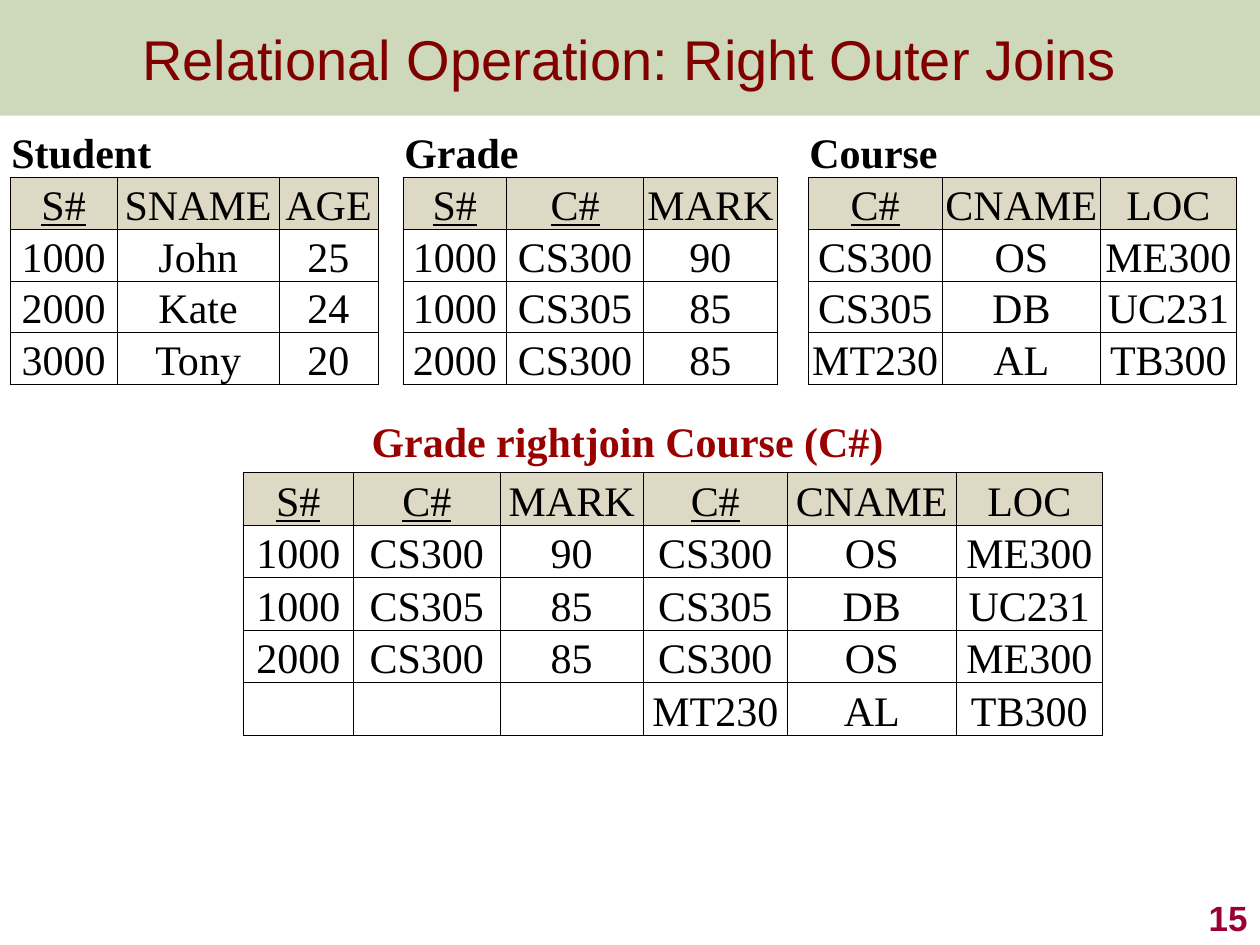
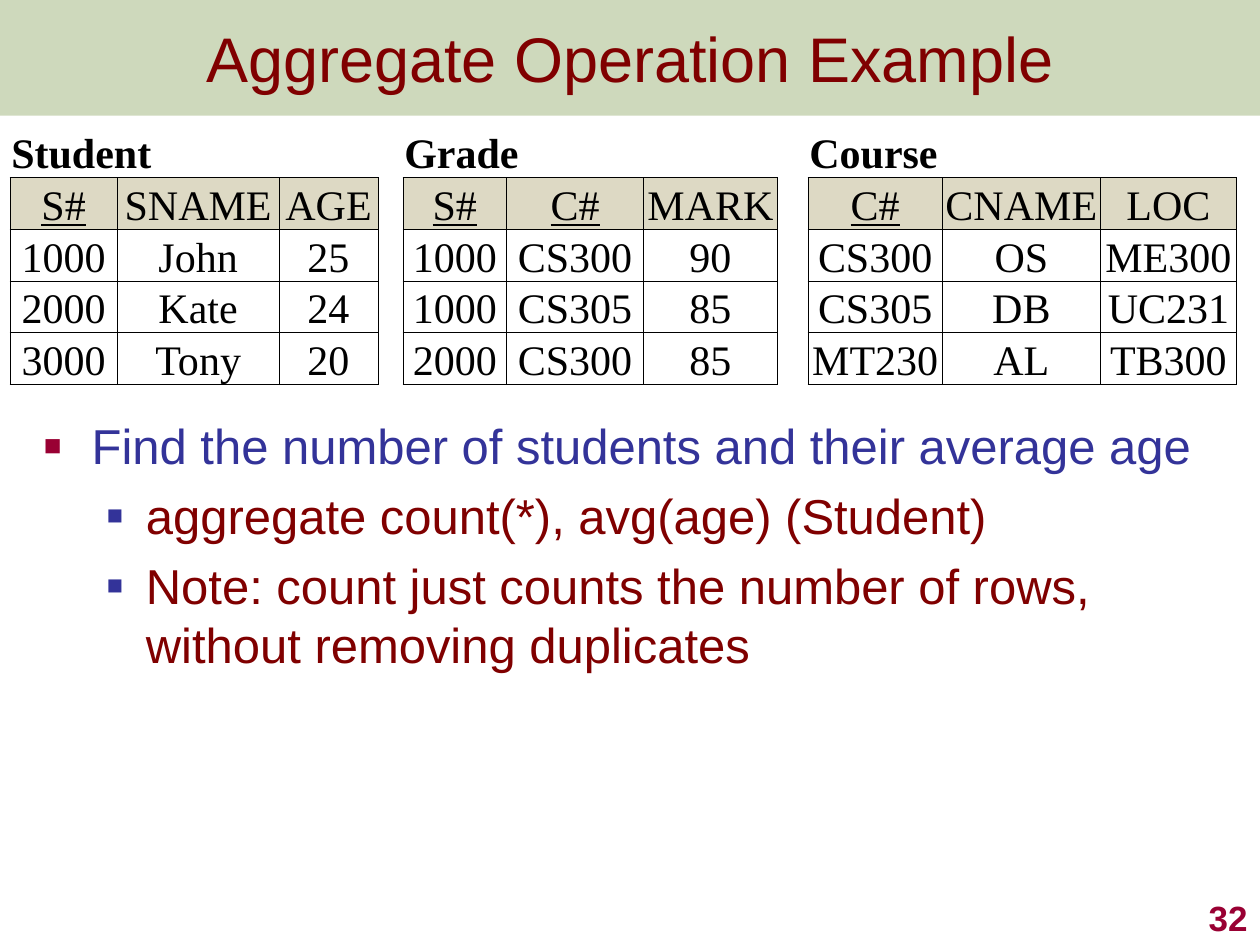
from lxml import etree
from pptx import Presentation
from pptx.dml.color import RGBColor
from pptx.enum.text import MSO_ANCHOR, PP_ALIGN
from pptx.oxml.ns import qn
from pptx.util import Inches, Pt

LEFT, CENTER, RIGHT = PP_ALIGN.LEFT, PP_ALIGN.CENTER, PP_ALIGN.RIGHT
TOP, MIDDLE, BOTTOM = MSO_ANCHOR.TOP, MSO_ANCHOR.MIDDLE, MSO_ANCHOR.BOTTOM

SANS, SERIF = "Arial", "Times New Roman"
BLACK, WHITE = "000000", "FFFFFF"
MAROON, CRIMSON, BLUE, RED = "800000", "990033", "333399", "990000"
BAND, HEADER = "5F8422", "DDD9C4"

COLUMNS, ROWS = 40, 30
UNIT = Inches(0.25)
KEYS = ("S#", "C#")
GAP = None

STUDENT = [
    ["S#", "SNAME", "AGE"],
    ["1000", "John", "25"],
    ["2000", "Kate", "24"],
    ["3000", "Tony", "20"],
]
GRADE = [
    ["S#", "C#", "MARK"],
    ["1000", "CS300", "90"],
    ["1000", "CS305", "85"],
    ["2000", "CS300", "85"],
]
COURSE = [
    ["C#", "CNAME", "LOC"],
    ["CS300", "OS", "ME300"],
    ["CS305", "DB", "UC231"],
    ["MT230", "AL", "TB300"],
]
RIGHT_JOIN = [
    GRADE[0] + COURSE[0],
    GRADE[1] + COURSE[1],
    GRADE[2] + COURSE[2],
    GRADE[3] + COURSE[1],
    ["", "", ""] + COURSE[3],
]


def rgb(color):
    return RGBColor.from_string(color)


def grid(*cells):
    """Turn grid columns or rows into lengths."""
    return [round(cell * UNIT) for cell in cells]


def add_xml(parent, tag, **attributes):
    return etree.SubElement(parent, qn(tag), attributes)


def write(paragraph, text, size=24, font=SERIF, color=BLACK, bold=False,
          underline=False, align=LEFT):
    paragraph.alignment = align
    run = paragraph.add_run()
    run.text = text
    run.font.size = Pt(size)
    run.font.name = font
    run.font.color.rgb = rgb(color)
    run.font.bold = bold
    run.font.underline = underline


def set_borders(cell, edges):
    """Draw a thin line on the named edges (out of L, R, T, B) and none elsewhere."""
    properties = cell._tc.get_or_add_tcPr()
    for edge in "LRTB":
        line = add_xml(properties, f"a:ln{edge}", w=str(Pt(0.5)))
        if edge in edges:
            add_xml(add_xml(line, "a:solidFill"), "a:srgbClr", val=BLACK)
        else:
            add_xml(line, "a:noFill")


class Deck:
    def __init__(self):
        self.file = Presentation()
        self.file.slide_width, self.file.slide_height = grid(COLUMNS, ROWS)
        self.slide = None

    def start_slide(self, title, number, title_size):
        self.slide = self.file.slides.add_slide(self.file.slide_layouts[5])
        band = self.slide.shapes.title
        band.left, band.top, band.width, band.height = grid(0, 0, COLUMNS, 3.67)
        band.fill.solid()
        band.fill.fore_color.rgb = rgb(BAND)
        tint = band._element.spPr.find(f".//{qn('a:srgbClr')}")
        add_xml(tint, "a:alpha", val="30000")
        band.text_frame.vertical_anchor = MIDDLE
        write(band.text_frame.paragraphs[0], title, size=title_size, font=SANS,
              color=MAROON, align=CENTER)
        self.text(31.68, 28, 8.32, 2, str(number), anchor=BOTTOM, size=20,
                  font=SANS, color=CRIMSON, bold=True, align=RIGHT)

    def frame(self, left, top, width, height, anchor=TOP, wrap=True):
        box = self.slide.shapes.add_textbox(*grid(left, top, width, height))
        box.text_frame.word_wrap = wrap
        box.text_frame.vertical_anchor = anchor
        return box.text_frame

    def text(self, left, top, width, height, text, anchor=TOP, wrap=True, **style):
        frame = self.frame(left, top, width, height, anchor, wrap)
        write(frame.paragraphs[0], text, **style)

    def bullets(self, left, top, width, height, items):
        """Write (level, text) items with square bullets."""
        looks = [  # text colour, bullet colour, bullet size, margin, indent
            (BLUE, CRIMSON, "60000", 0.38, -0.38),
            (MAROON, BLUE, "55000", 0.81, -0.31),
        ]
        frame = self.frame(left, top, width, height)
        frame.margin_right = 0
        for index, (level, text) in enumerate(items):
            color, mark, mark_size, margin, indent = looks[level]
            paragraph = frame.add_paragraph() if index else frame.paragraphs[0]
            paragraph.level = level
            if index:
                paragraph.space_before = Pt(6.4)
            properties = paragraph._p.get_or_add_pPr()
            properties.set("marL", str(Inches(margin)))
            properties.set("indent", str(Inches(indent)))
            add_xml(add_xml(properties, "a:buClr"), "a:srgbClr", val=mark)
            add_xml(properties, "a:buSzPct", val=mark_size)
            add_xml(properties, "a:buFont", typeface=SANS)
            add_xml(properties, "a:buChar", char="■")
            write(paragraph, text, size=28, font=SANS, color=color)

    def table(self, left, top, widths, row_height, rows, label_rows=0):
        """Draw rows of text; label rows stand above the header, GAP parts tables."""
        table = self.slide.shapes.add_table(
            len(rows), len(widths),
            *grid(left, top, sum(widths), row_height * len(rows))).table
        table.first_row = table.horz_banding = False
        for column, width in zip(table.columns, grid(*widths)):
            column.width = width
        for r, row in enumerate(rows):
            table.rows[r].height = grid(row_height)[0]
            is_label = r < label_rows
            for c, text in enumerate(row):
                cell = table.cell(r, c)
                cell.margin_left = cell.margin_right = cell.margin_top = Inches(0.01)
                cell.margin_bottom = 0
                cell.vertical_anchor = BOTTOM
                if text is GAP:
                    edges = "" if is_label else "LR"
                else:
                    edges = "B" if is_label else "LRTB"
                set_borders(cell, edges)
                is_header = r == label_rows and text is not GAP
                cell.fill.solid()
                cell.fill.fore_color.rgb = rgb(HEADER if is_header else WHITE)
                if text:
                    write(cell.text_frame.paragraphs[0], text, bold=is_label,
                          underline=is_header and text in KEYS,
                          align=LEFT if is_label else CENTER)
                if is_label and text:
                    cell.merge(table.cell(r, c + 2))

    def source_tables(self):
        """Show the three relations side by side under their names."""
        labels = ["Student", "", "", GAP, "Grade", "", "", GAP, "Course", "", ""]
        body = [[*student, GAP, *grade, GAP, *course]
                for student, grade, course in zip(STUDENT, GRADE, COURSE)]
        widths = [3.4, 5.14, 3.14, 0.8, 3.28, 4.36, 4.24, 0.98, 4.26, 5.02, 4.32]
        self.table(0.32, 4, widths, 1.52, [labels] + body, label_rows=1)


def main():
    deck = Deck()

    deck.start_slide("Relational Operation: Right Outer Joins", 15, title_size=32)
    join_widths = [3.5, 4.66, 4.54, 4.58, 5.36, 4.64]
    deck.table(7.72, 15, join_widths, 1.67, RIGHT_JOIN)
    deck.source_tables()
    deck.text(11.4, 13, 17.24, 2, "Grade rightjoin Course (C#)", wrap=False,
              color=RED, bold=True)

    deck.start_slide("Aggregate Operation Example", 32, title_size=36)
    deck.bullets(1, 13, 37.04, 12.32, [
        (0, "Find the number of students and their average age"),
        (1, "aggregate count(*), avg(age) (Student)"),
        (1, "Note: count just counts the number of rows, without removing duplicates"),
    ])
    deck.source_tables()

    deck.file.save("out.pptx")


if __name__ == "__main__":
    main()
